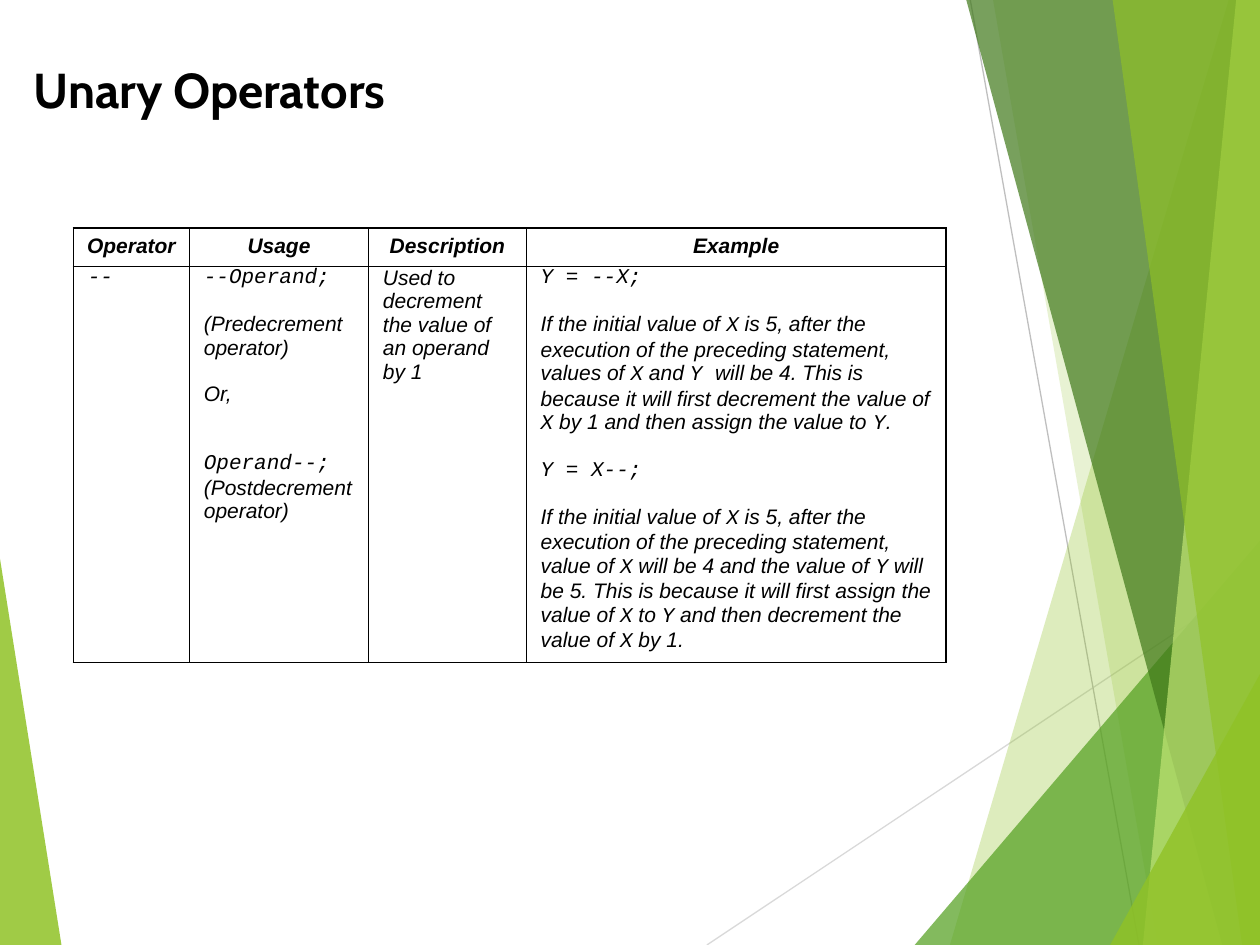
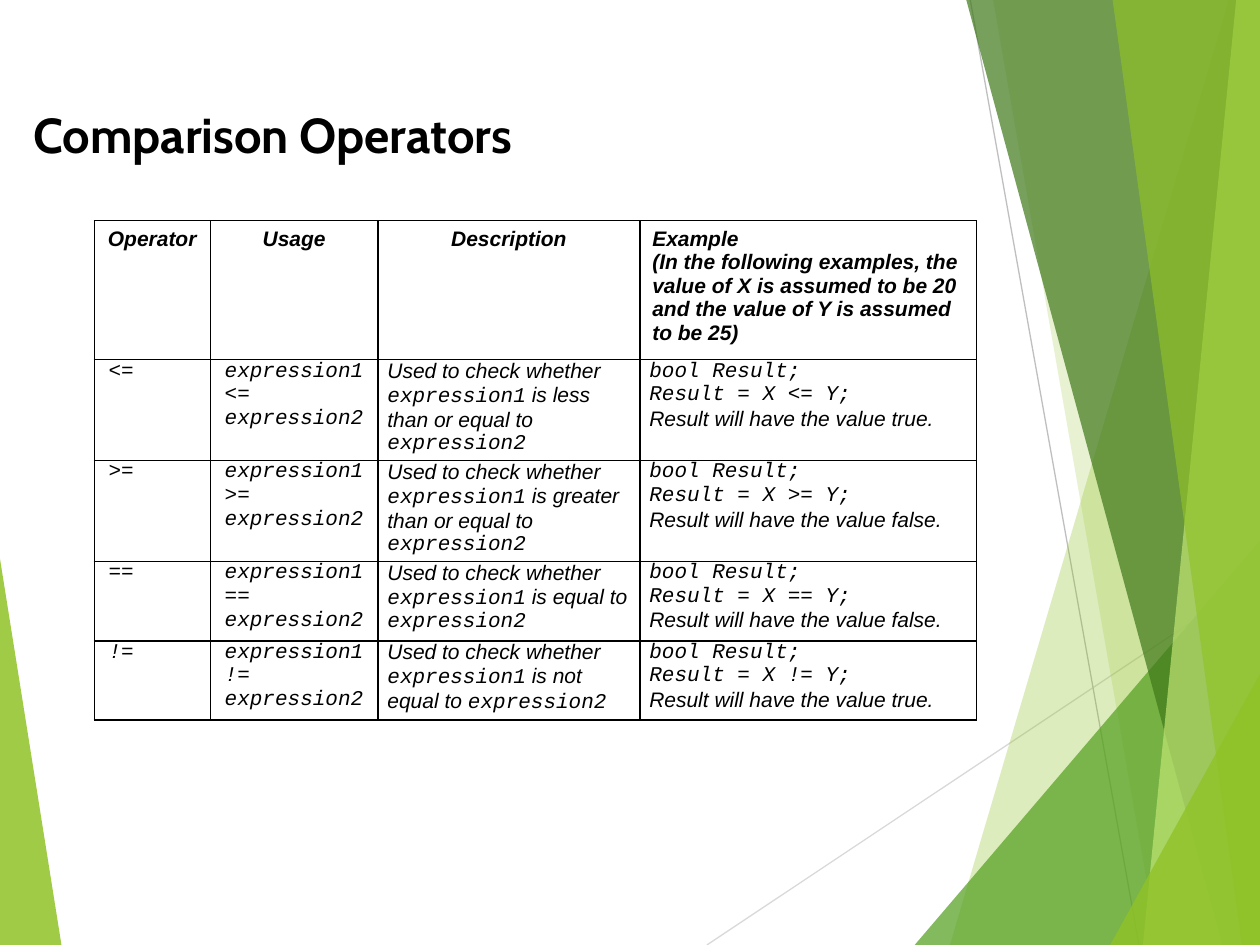
from dataclasses import dataclass

from lxml.etree import SubElement
from pptx import Presentation
from pptx.dml.color import RGBColor
from pptx.enum.shapes import MSO_CONNECTOR
from pptx.enum.text import MSO_ANCHOR, PP_ALIGN
from pptx.oxml.ns import qn
from pptx.slide import Slide
from pptx.table import _Cell as Cell
from pptx.util import Cm, Pt

BLACK = RGBColor(0x00, 0x00, 0x00)
LIME = RGBColor(0x90, 0xC2, 0x26)
PALE_LIME = RGBColor(0xC0, 0xE4, 0x74)
GREEN = RGBColor(0x54, 0xA0, 0x21)
DARK_GREEN = RGBColor(0x3F, 0x78, 0x19)
LIGHT_GREY = RGBColor(0xD9, 0xD9, 0xD9)
GREY = RGBColor(0xBF, 0xBF, 0xBF)

TITLE_FONT, BODY_FONT, CODE_FONT = "Cabin", "Arial", "Courier New"
WIDTH, HEIGHT = 25.4, 19.05  # centimetres, like every length below

Point = tuple[float, float]


@dataclass(frozen=True)
class Facet:
    points: tuple[Point, ...]
    color: RGBColor
    opacity: int


@dataclass(frozen=True)
class Ray:
    start: Point
    end: Point
    color: RGBColor


@dataclass(frozen=True)
class Para:
    """A paragraph; words between backticks are code."""
    text: str
    before: float = 0
    after: float = 0
    indent: float = 0
    bold: bool = False
    align: PP_ALIGN = PP_ALIGN.LEFT


Row = list[list[Para]]


@dataclass(frozen=True)
class OperatorSlide:
    title: str
    title_top: float
    left: float
    top: float
    columns: tuple[float, ...]
    heights: tuple[float, ...]
    rows: list[Row]


def band(top_x: float, bottom_x: float, color: RGBColor, opacity: int) -> Facet:
    """Full-height facet that reaches the right edge of the slide."""
    corners = ((top_x, 0), (bottom_x, HEIGHT), (WIDTH, HEIGHT), (WIDTH, 0))
    return Facet(corners, color, opacity)


def wedge(edge_x: float, tip_y: float, bottom_x: float, color: RGBColor, opacity: int) -> Facet:
    """Triangle in a bottom corner of the slide."""
    return Facet(((bottom_x, HEIGHT), (edge_x, tip_y), (edge_x, HEIGHT)), color, opacity)


BACKDROP = [
    wedge(0, 11.26, 1.24, LIME, 85),
    Ray((14.25, HEIGHT), (WIDTH, 11.62), LIGHT_GREY),
    Ray((19.56, 0), (22.96, HEIGHT), GREY),
    band(24.77, 19.15, LIME, 30),
    band(20.02, 23.34, LIME, 20),
    wedge(WIDTH, 10.9, 18.44, GREEN, 72),
    band(19.48, 24.64, DARK_GREEN, 70),
    band(24.92, 23.04, PALE_LIME, 70),
    band(22.43, 25.04, LIME, 65),
    wedge(WIDTH, 13.59, 22.38, LIME, 80),
]


def spaced(*texts: str) -> list[Para]:
    return [Para(text, before=6, after=7, indent=0.1) for text in texts]


def flush(*texts: str) -> list[Para]:
    return [Para(text) for text in texts]


def heading(*texts: str, align: PP_ALIGN = PP_ALIGN.CENTER) -> list[Para]:
    return [Para(text, bold=True, align=align) for text in texts]


def comparison_row(operator: str, relation: str, result: str) -> Row:
    return [
        spaced(f"`{operator}`"),
        spaced(f"`expression1 {operator} expression2`"),
        flush(f"Used to check whether `expression1` is {relation} `expression2`"),
        flush("`bool Result;`", f"`Result = X {operator} Y;`",
              f"Result will have the value {result}."),
    ]


UNARY = OperatorSlide(
    title="Unary Operators", title_top=1.07, left=1.48, top=4.6,
    columns=(2.34, 3.61, 3.18, 8.46), heights=(0.76, 7.98),
    rows=[
        [heading(name) for name in ("Operator", "Usage", "Description", "Example")],
        [
            spaced("`--`"),
            spaced("`--Operand;`", "(Predecrement operator)", "Or,")
            + [Para("`Operand--; `(Postdecrement operator)", before=19.5, after=7, indent=0.1)],
            spaced("Used to decrement the value of an operand by 1"),
            spaced(
                "`Y = --X;`",
                "If the initial value of `X` is 5, after the execution of the preceding "
                "statement, values of `X` and `Y `will be 4. This is because it will first "
                "decrement the value of `X` by 1 and then assign the value to `Y`.",
                "`Y = X--;`",
                "If the initial value of `X` is 5, after the execution of the preceding "
                "statement, value of `X` will be 4 and the value of `Y` will be 5. This is "
                "because it will first assign the value of `X` to `Y` and then decrement "
                "the value of `X` by 1.",
            ),
        ],
    ],
)

COMPARISON = OperatorSlide(
    title="Comparison Operators", title_top=1.98, left=1.9, top=4.45,
    columns=(2.34, 3.38, 5.28, 6.78), heights=(2.79, 2.03, 2.03, 1.6, 1.6),
    rows=[
        [heading(name) for name in ("Operator", "Usage", "Description")]
        + [heading("Example",
                   "(In the following examples, the value of X is assumed to be 20 "
                   "and the value of Y is assumed to be 25)", align=PP_ALIGN.LEFT)],
        comparison_row("<=", "less than or equal to", "true"),
        comparison_row(">=", "greater than or equal to", "false"),
        comparison_row("==", "equal to", "false"),
        comparison_row("!=", "not equal to", "true"),
    ],
)


def write(frame, paras: list[Para], *, font: str = BODY_FONT, size: float = 12,
          italic: bool = True) -> None:
    for index, para in enumerate(paras):
        paragraph = frame.add_paragraph() if index else frame.paragraphs[0]
        paragraph.alignment = para.align
        paragraph.space_before = Pt(para.before)
        paragraph.space_after = Pt(para.after)
        paragraph._p.get_or_add_pPr().set("marL", str(Cm(para.indent)))
        for part, words in enumerate(para.text.split("`")):
            if not words:
                continue
            run = paragraph.add_run()
            run.text = words
            run.font.name = CODE_FONT if part % 2 else font
            run.font.size = Pt(size)
            run.font.bold = para.bold
            run.font.italic = italic
            run.font.color.rgb = BLACK


def draw_facet(slide: Slide, facet: Facet) -> None:
    start, *rest = [(Cm(x), Cm(y)) for x, y in facet.points]
    builder = slide.shapes.build_freeform(*start)
    builder.add_line_segments(rest, close=True)
    shape = builder.convert_to_shape()
    shape.shadow.inherit = False
    shape.line.fill.background()
    shape.fill.solid()
    shape.fill.fore_color.rgb = facet.color
    color = shape._element.spPr.find(qn("a:solidFill"))[0]
    SubElement(color, qn("a:alpha"), val=str(facet.opacity * 1000))


def draw_ray(slide: Slide, ray: Ray) -> None:
    ends = [Cm(value) for value in ray.start + ray.end]
    connector = slide.shapes.add_connector(MSO_CONNECTOR.STRAIGHT, *ends)
    connector.line.color.rgb = ray.color
    connector.line.width = Pt(0.75)
    SubElement(connector._element.spPr, qn("a:effectLst"))


def draw_backdrop(slide: Slide) -> None:
    for part in BACKDROP:
        if isinstance(part, Facet):
            draw_facet(slide, part)
        else:
            draw_ray(slide, part)


def draw_title(slide: Slide, text: str, top: float) -> None:
    box = slide.shapes.add_textbox(Cm(0.43), Cm(top), Cm(24.33), Cm(1.45))
    box.text_frame.word_wrap = True
    write(box.text_frame, [Para(text, bold=True)], font=TITLE_FONT, size=28, italic=False)


def draw_borders(cell: Cell) -> None:
    properties = cell._tc.get_or_add_tcPr()
    for side in ("lnL", "lnR", "lnT", "lnB"):
        border = SubElement(properties, qn(f"a:{side}"), w=str(Pt(1)))
        fill = SubElement(border, qn("a:solidFill"))
        SubElement(fill, qn("a:srgbClr"), val=str(BLACK))


def fill_cell(cell: Cell, paras: list[Para], is_header: bool) -> None:
    draw_borders(cell)
    cell.fill.background()
    cell.vertical_anchor = MSO_ANCHOR.TOP
    cell.margin_left = cell.margin_right = Cm(0.25 if is_header else 0.19)
    cell.margin_top = cell.margin_bottom = Cm(0.13 if is_header else 0)
    write(cell.text_frame, paras)


def draw_table(slide: Slide, content: OperatorSlide) -> None:
    table = slide.shapes.add_table(
        len(content.heights), len(content.columns), Cm(content.left), Cm(content.top),
        Cm(sum(content.columns)), Cm(sum(content.heights))).table
    table.first_row = table.horz_banding = False
    for column, width in zip(table.columns, content.columns):
        column.width = Cm(width)
    for index, (row, height) in enumerate(zip(table.rows, content.heights)):
        row.height = Cm(height)
        for cell, paras in zip(row.cells, content.rows[index]):
            fill_cell(cell, paras, is_header=index == 0)


def main() -> None:
    deck = Presentation()
    deck.slide_width, deck.slide_height = Cm(WIDTH), Cm(HEIGHT)
    for content in (UNARY, COMPARISON):
        slide = deck.slides.add_slide(deck.slide_layouts[6])
        draw_backdrop(slide)
        draw_title(slide, content.title, content.title_top)
        draw_table(slide, content)
    deck.save("out.pptx")


if __name__ == "__main__":
    main()
